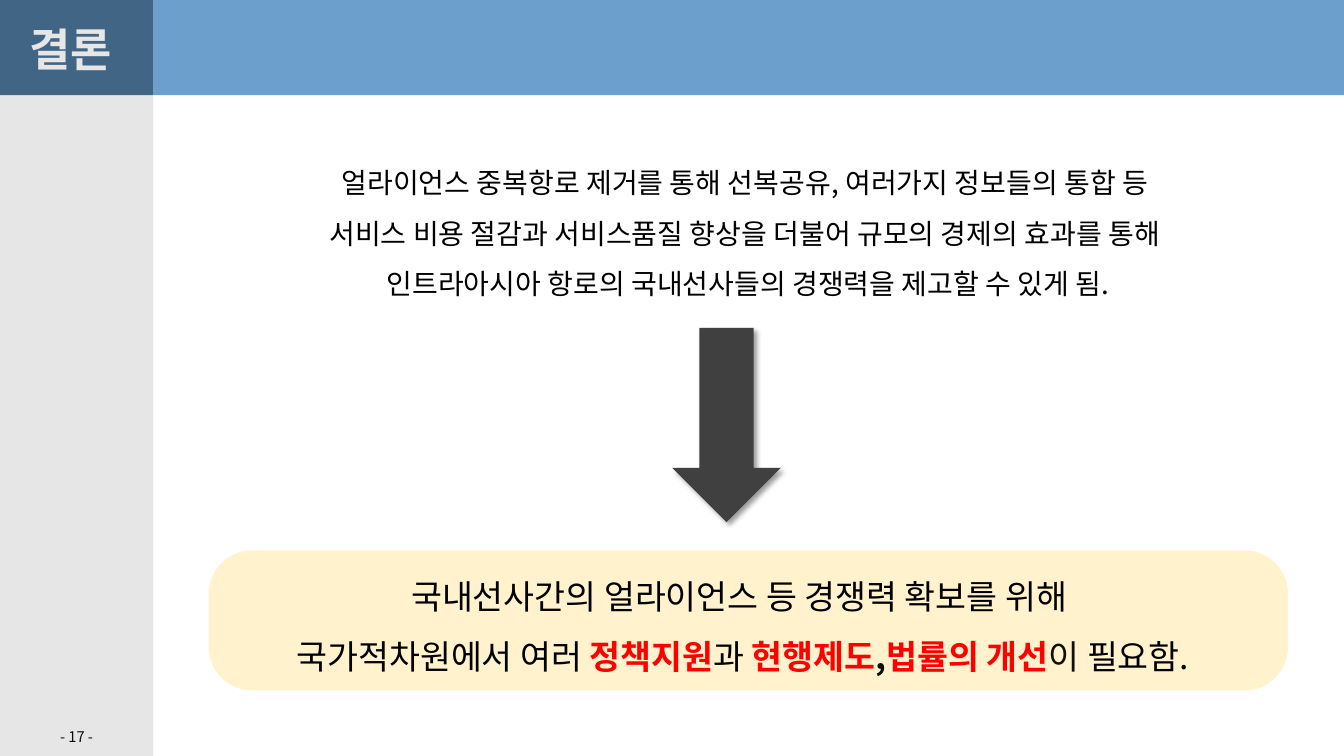
import pptx
import pptx.util
import pptx.dml.color
import pptx.enum.shapes
import pptx.enum.text
import pptx.oxml
import pptx.oxml.ns

Cm = pptx.util.Cm
SHAPE = pptx.enum.shapes.MSO_SHAPE
ANCHOR = pptx.enum.text.MSO_ANCHOR
FONT = "Noto Sans CJK KR"
COLOURS = {
    "banner": "6C9FCC", "corner": "416585", "sidebar": "E6E6E6",
    "callout": "FFF2CC", "arrow": "404040", "title": "E7E6E6",
    "text": "000000", "soft": "0D0D0D", "accent": "FF0000",
}
WIDTH, HEIGHT = 33.87, 19.05
SIDEBAR_WIDTH, BANNER_HEIGHT = 3.86, 2.4
SUMMARY = [
    "얼라이언스 중복항로 제거를 통해 선복공유, 여러가지 정보들의 통합 등 ",
    "서비스 비용 절감과 서비스품질 향상을 더불어 규모의 경제의 효과를 통해 ",
    "인트라아시아 항로의 국내선사들의 경쟁력을 제고할 수 있게 됨.",
]
CONCLUSION = [
    [("국내선사간의 얼라이언스 등 경쟁력 확보를 위해 ", "text", False)],
    [
        ("국가적차원에서 여러 ", "text", False),
        ("정책지원", "accent", True),
        ("과 ", "text", False),
        ("현행제도", "accent", True),
        (",", "soft", True),
        ("법률의 개선", "accent", True),
        ("이 ", "soft", False),
        ("필요함.", "text", False),
    ],
]


def colour(name):
    """Return the named palette colour."""
    return pptx.dml.color.RGBColor.from_string(COLOURS[name])


def add_block(page, kind, box, fill):
    """Add a plain filled shape in the box, given in centimetres."""
    shape = page.shapes.add_shape(kind, *map(Cm, box))
    shape.fill.solid()
    shape.fill.fore_color.rgb = colour(fill)
    shape.line.fill.background()
    shape.shadow.inherit = False
    return shape


def add_text_box(page, box):
    """Add an empty text box in the box, given in centimetres."""
    return page.shapes.add_textbox(*map(Cm, box))


def move_to_front(page, shape, box):
    """Place a placeholder in the box, above the shapes drawn so far."""
    shape.left, shape.top, shape.width, shape.height = map(Cm, box)
    page.shapes.element.append(shape.element)


def write(shape, lines, size, spacing=1.0, anchor=ANCHOR.TOP):
    """Fill a shape with centred paragraphs made of (text, colour, bold) runs."""
    frame = shape.text_frame
    frame.word_wrap = True
    frame.auto_size = pptx.enum.text.MSO_AUTO_SIZE.NONE
    frame.vertical_anchor = anchor
    for index, line in enumerate(lines):
        para = frame.add_paragraph() if index else frame.paragraphs[0]
        para.alignment = pptx.enum.text.PP_ALIGN.CENTER
        para.line_spacing = spacing
        para.space_before = pptx.util.Pt(0)
        for text, name, bold in line:
            span = para.add_run()
            span.text = text
            span.font.size = pptx.util.Pt(size)
            span.font.bold = bold
            span.font.color.rgb = colour(name)
            span.font.name = FONT
            east_asian = pptx.oxml.parse_xml(
                f'<a:ea {pptx.oxml.ns.nsdecls("a")} typeface="{FONT}"/>')
            span.font._element.find(pptx.oxml.ns.qn("a:latin")).addnext(east_asian)


def add_sidebar(page, box):
    """Draw the grey side column with the page number at its foot."""
    left, top, width, height = box
    add_block(page, SHAPE.RECTANGLE, box, "sidebar")
    number = add_text_box(page, (left, top + height - 0.84, width, 0.74))
    write(number, [[("- 17 -", "soft", False)]], 10.5)


def add_banner(page, box):
    """Draw the header band and its dark corner holding the title."""
    left, top, width, height = box
    add_block(page, SHAPE.RECTANGLE, (left, top, SIDEBAR_WIDTH, height), "corner")
    band = (left + SIDEBAR_WIDTH, top, width - SIDEBAR_WIDTH, height)
    add_block(page, SHAPE.RECTANGLE, band, "banner")
    title = page.shapes.title
    move_to_front(page, title, (left - 0.15, top + 0.41, SIDEBAR_WIDTH, 1.63))
    write(title, [[("결론", "title", True)]], 32, anchor=ANCHOR.MIDDLE)


def add_summary(page, box):
    """Set the three summary lines in the body placeholder."""
    body = page.placeholders[1]
    move_to_front(page, body, box)
    write(body, [[(line, "text", False)] for line in SUMMARY], 20, 1.5)
    for para in body.text_frame.paragraphs:
        properties = para._p.get_or_add_pPr()
        properties.set("marL", "0")
        properties.set("indent", "0")
        properties.append(pptx.oxml.parse_xml(
            f'<a:buNone {pptx.oxml.ns.nsdecls("a")}/>'))


def add_arrow(page, box):
    """Draw the shadowed arrow that leads to the conclusion."""
    arrow = add_block(page, SHAPE.DOWN_ARROW, box, "arrow")
    effects = arrow.element.spPr.find(pptx.oxml.ns.qn("a:effectLst"))
    effects.append(pptx.oxml.parse_xml(
        f'<a:outerShdw {pptx.oxml.ns.nsdecls("a")} blurRad="{pptx.util.Pt(4)}" '
        f'dist="{pptx.util.Pt(3)}" dir="2700000" algn="tl" rotWithShape="0">'
        '<a:srgbClr val="000000"><a:alpha val="40000"/></a:srgbClr></a:outerShdw>'))


def add_conclusion(page, box):
    """Draw the rounded callout and the conclusion text on it."""
    left, top, width, height = box
    callout = add_block(page, SHAPE.ROUNDED_RECTANGLE, box, "callout")
    callout.adjustments[0] = 0.31
    text = add_text_box(page, (left + 0.66, top, width - 1.6, height - 0.41))
    write(text, CONCLUSION, 24, 1.5)


def main():
    """Build the conclusion slide and save it."""
    deck = pptx.Presentation()
    deck.slide_width, deck.slide_height = Cm(WIDTH), Cm(HEIGHT)
    page = deck.slides.add_slide(deck.slide_layouts[1])
    add_sidebar(page, (0, BANNER_HEIGHT, SIDEBAR_WIDTH, HEIGHT - BANNER_HEIGHT))
    add_banner(page, (0, 0, WIDTH, BANNER_HEIGHT))
    add_summary(page, (5.64, 3.63, 26.42, 3.94))
    add_arrow(page, (16.94, 8.26, 2.74, 4.9))
    add_conclusion(page, (5.26, 13.87, 27.2, 3.53))
    deck.save("out.pptx")


if __name__ == "__main__":
    main()
